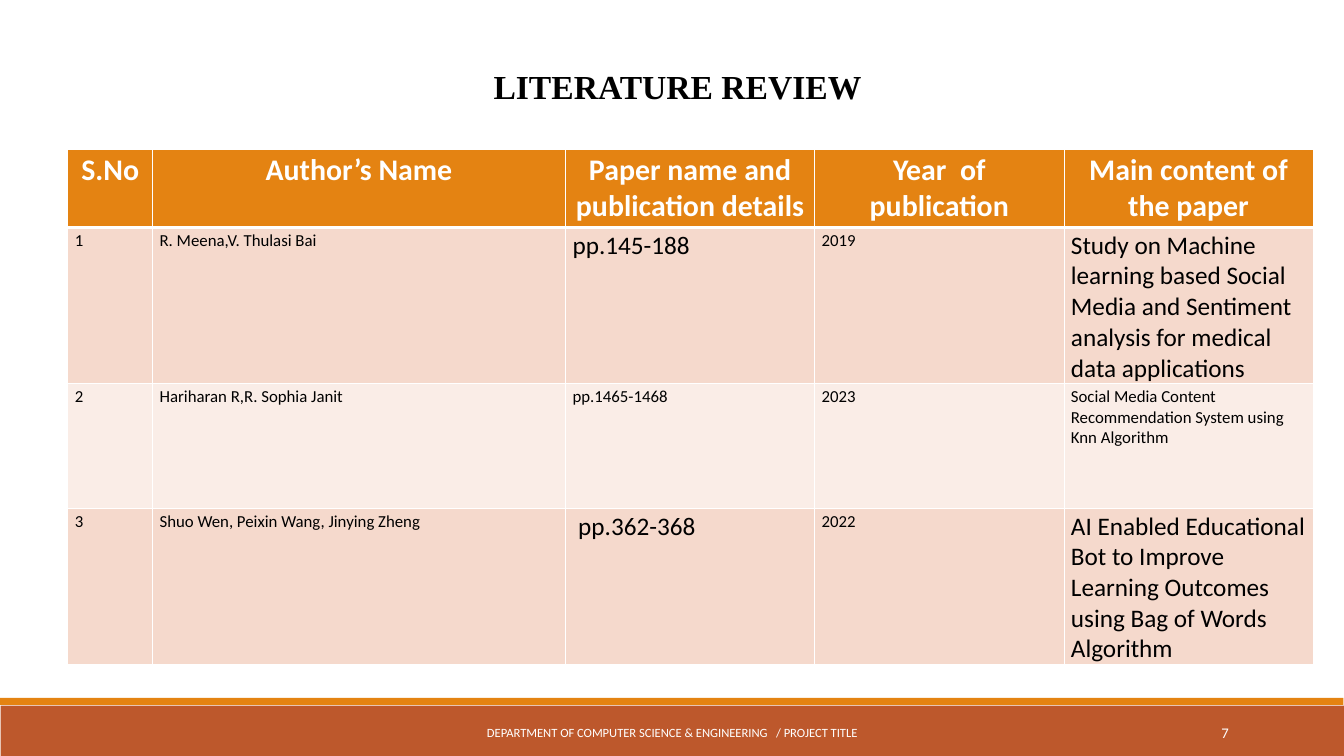
from lxml.etree import SubElement
from pptx import Presentation
from pptx.dml.color import RGBColor
from pptx.enum.shapes import MSO_SHAPE as SHAPE
from pptx.enum.text import MSO_ANCHOR as ANCHOR, PP_ALIGN as ALIGN
from pptx.oxml.ns import qn
from pptx.util import Pt

PX = 9525
ORANGE, RUST, WHITE, BLACK = "E48312", "BD582C", "FFFFFF", "000000"
BANDS = ("F5D9CC", "FAEDE7")
COLUMNS = (121, 590, 356, 356, 356)
ROWS = (112, 182, 178, 182)
HEADERS = ("S.No", "Author’s Name", "Paper name and publication details",
           "Year  of publication", "Main content of the paper")
SMALL, LARGE = 18, 27
PAPERS = (
    (("1", "R. Meena,V. Thulasi Bai", "pp.145-188", "2019",
      "Study on Machine learning based Social Media and Sentiment analysis "
      "for medical data applications"), LARGE),
    (("2", "Hariharan R,R. Sophia Janit", "pp.1465-1468", "2023",
      "Social Media Content Recommendation System using Knn Algorithm"), SMALL),
    (("3", "Shuo Wen, Peixin Wang, Jinying Zheng", " pp.362-368", "2022",
      "AI Enabled Educational Bot to Improve Learning Outcomes using "
      "Bag of Words Algorithm"), LARGE),
)
DETAIL_COLUMNS = (2, 4)


def px(*values):
    """Turn pixel lengths into EMU."""
    return [v * PX for v in values]


def paint(fill, color):
    """Give a fill one solid colour."""
    fill.solid()
    fill.fore_color.rgb = RGBColor.from_string(color)


def style(p, size, color, align, font="Calibri", bold=False):
    """Set the alignment and font of a paragraph."""
    p.alignment = align
    p.font.name, p.font.size, p.font.bold = font, Pt(size), bold
    p.font.color.rgb = RGBColor.from_string(color)


def add_bar(s, box, color):
    """Add a plain coloured band."""
    sp = s.shapes.add_shape(SHAPE.RECTANGLE, *px(*box))
    sp.shadow.inherit = False
    paint(sp.fill, color)
    sp.line.fill.background()


def add_text(s, box, text, size, color, align, anchor=ANCHOR.MIDDLE, **font):
    """Add a one-paragraph text box and return its paragraph."""
    tf = s.shapes.add_textbox(*px(*box)).text_frame
    tf.word_wrap, tf.vertical_anchor = True, anchor
    p = tf.paragraphs[0]
    p.text = text
    style(p, size, color, align, **font)
    return p


def add_borders(cell, bottom):
    """Draw white cell borders with the given bottom width in points."""
    tc_pr = cell._tc.get_or_add_tcPr()
    for side, width in zip("LRTB", (1, 1, 1, bottom)):
        ln = SubElement(tc_pr, qn(f"a:ln{side}"), w=str(Pt(width)))
        SubElement(SubElement(ln, qn("a:solidFill")), qn("a:srgbClr"), val=WHITE)


def fill_cell(cell, text, fill, size, color, align, bold=False, bottom=1):
    """Write and style one table cell."""
    cell.margin_left, cell.margin_right, cell.margin_top, cell.margin_bottom = px(10, 10, 4, 3)
    add_borders(cell, bottom)
    paint(cell.fill, fill)
    p = cell.text_frame.paragraphs[0]
    p.text = text
    style(p, size, color, align, bold=bold)


def add_papers_table(s):
    """Add the table of reviewed papers."""
    box = px(97, 213, sum(COLUMNS), sum(ROWS))
    table = s.shapes.add_table(len(ROWS), len(COLUMNS), *box).table
    for column, width in zip(table.columns, px(*COLUMNS)):
        column.width = width
    for row, height in zip(table.rows, px(*ROWS)):
        row.height = height
    for c, text in enumerate(HEADERS):
        fill_cell(table.cell(0, c), text, ORANGE, 32, WHITE, ALIGN.CENTER, True, 3)
    for r, (texts, detail_size) in enumerate(PAPERS):
        for c, text in enumerate(texts):
            size = detail_size if c in DETAIL_COLUMNS else SMALL
            fill_cell(table.cell(r + 1, c), text, BANDS[r % 2], size, BLACK, ALIGN.LEFT)


def main():
    """Build the literature review slide."""
    prs = Presentation()
    prs.slide_width, prs.slide_height = px(1920, 1080)
    s = prs.slides.add_slide(prs.slide_layouts[6])
    add_bar(s, (1, 1008, 1919, 72), RUST)
    add_bar(s, (0, 997, 1919, 10), ORANGE)
    add_text(s, (581, 1018, 759, 58),
             "DEPARTMENT OF COMPUTER SCIENCE & ENGINEERING   / PROJECT TITLE",
             13.5, WHITE, ALIGN.CENTER)
    add_text(s, (1559, 1018, 206, 58), "7", 15.8, WHITE, ALIGN.RIGHT)
    title = add_text(s, (59, 60, 1770, 86), "LITERATURE REVIEW", 36, BLACK, ALIGN.CENTER,
                     ANCHOR.TOP, font="Times New Roman", bold=True)
    title.line_spacing = 1.5
    title._p.get_or_add_pPr().set("marL", str(48 * PX))
    add_papers_table(s)
    prs.save("out.pptx")


if __name__ == "__main__":
    main()
